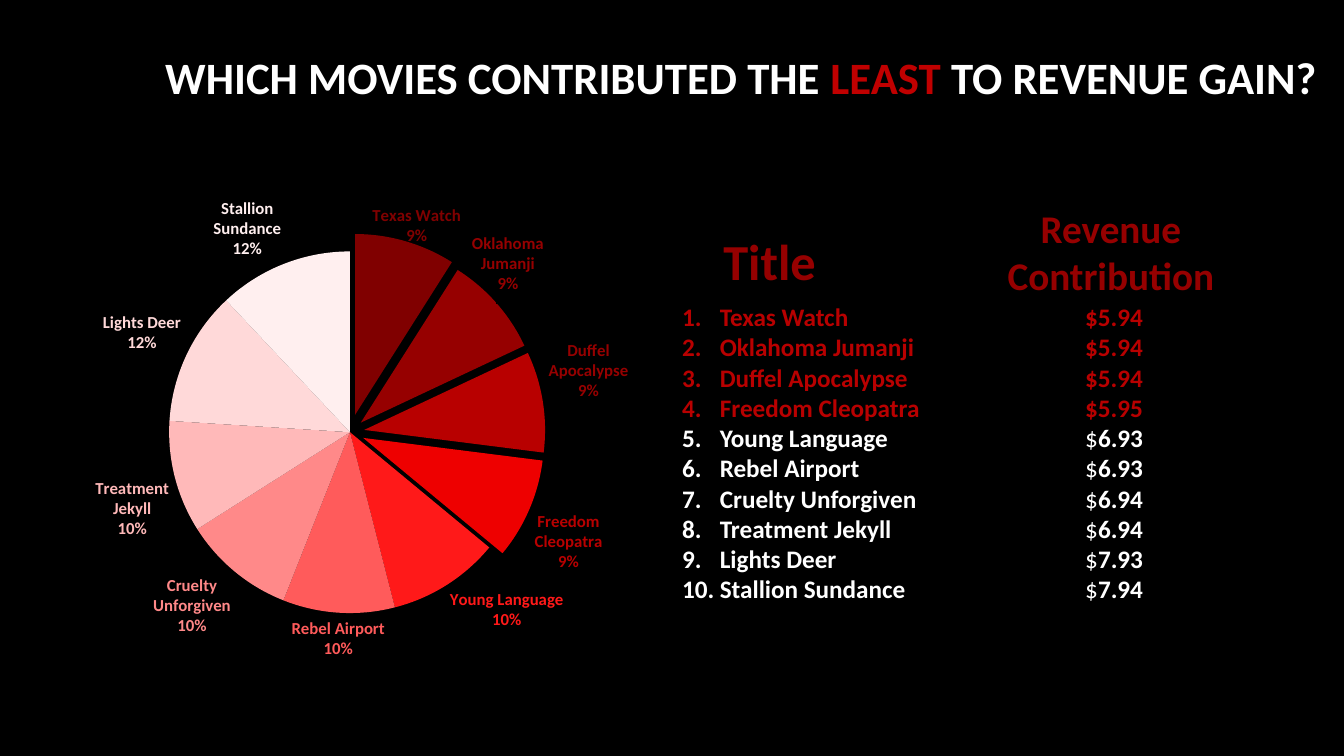
from lxml import etree
from pptx import Presentation
from pptx.chart.data import CategoryChartData
from pptx.dml.color import RGBColor
from pptx.enum.chart import XL_CHART_TYPE, XL_LABEL_POSITION
from pptx.enum.text import MSO_ANCHOR, MSO_AUTO_SIZE, PP_ALIGN
from pptx.oxml import parse_xml
from pptx.oxml.ns import nsdecls, qn
from pptx.util import Cm, Pt

PIE = XL_CHART_TYPE.PIE
OUTSIDE_END = XL_LABEL_POSITION.OUTSIDE_END
MIDDLE = MSO_ANCHOR.MIDDLE
NO_AUTOFIT = MSO_AUTO_SIZE.NONE
LEFT, CENTER = PP_ALIGN.LEFT, PP_ALIGN.CENTER

MOVIES = [
    ("Texas Watch", "5.94", 9, "800000", "800000", 10),
    ("Oklahoma Jumanji", "5.94", 9, "960000", "960000", 8),
    ("Duffel Apocalypse", "5.94", 9, "B80000", "960000", 8),
    ("Freedom Cleopatra", "5.95", 9, "EE0000", "B80000", 8),
    ("Young Language", "6.93", 10, "FF1919", "FF1919", 0),
    ("Rebel Airport", "6.93", 10, "FF5B5B", "FF5B5B", 0),
    ("Cruelty Unforgiven", "6.94", 10, "FF8989", "FF8989", 0),
    ("Treatment Jekyll", "6.94", 10, "FFB9B9", "FFB9B9", 0),
    ("Lights Deer", "7.93", 12, "FFD9D9", "FFD9D9", 0),
    ("Stallion Sundance", "7.94", 12, "FFEFEF", "FFEFEF", 0),
]
LABEL_OFFSETS = {0: (-0.06, 0.02), 1: (-0.05, -0.01)}
LEAST_COUNT = 4


def color(hex_value):
    return RGBColor.from_string(hex_value)


def add_text(paragraph, text, size=18, fill="FFFFFF", bold=True):
    run = paragraph.add_run()
    run.text = text
    run.font.name = "Calibri"
    run.font.size = Pt(size)
    run.font.bold = bold
    run.font.color.rgb = color(fill)


presentation = Presentation()
presentation.slide_width = Cm(33.87)
presentation.slide_height = Cm(19.05)
slide = presentation.slides.add_slide(presentation.slide_layouts[5])
slide.background.fill.solid()
slide.background.fill.fore_color.rgb = color("000000")

title = slide.shapes.title
title.left, title.top, title.width, title.height = Cm(3.91), Cm(0.13), Cm(29.95), Cm(3.78)
title.text_frame.auto_size = NO_AUTOFIT
title.text_frame.vertical_anchor = MIDDLE
paragraph = title.text_frame.paragraphs[0]
paragraph.alignment = LEFT
paragraph.line_spacing = 0.9
add_text(paragraph, "WHICH MOVIES CONTRIBUTED THE ", size=32)
add_text(paragraph, "LEAST", size=32, fill="C00000")
add_text(paragraph, " TO REVENUE GAIN?", size=32)

chart_data = CategoryChartData()
chart_data.categories = [movie[0] for movie in MOVIES]
chart_data.add_series("Series 1", [movie[2] for movie in MOVIES])
chart = slide.shapes.add_chart(PIE, Cm(1.75), Cm(4.09), Cm(14.58), Cm(13.21), chart_data).chart
chart.has_legend = False
chart.has_title = False
chart.font.name = "Calibri"
chart.font.size = Pt(10)
chart.font.color.rgb = color("FFFFFF")
plot = chart.plots[0]
plot.vary_by_categories = True

plot_area = plot._element.getparent()
for old_layout in plot_area.findall(qn("c:layout")):
    plot_area.remove(old_layout)
plot_area.insert(0, parse_xml(
    f'<c:layout {nsdecls("c")}><c:manualLayout><c:layoutTarget val="inner"/>'
    '<c:xMode val="edge"/><c:yMode val="edge"/><c:x val="0.17"/><c:y val="0.17"/>'
    '<c:w val="0.63"/><c:h val="0.69"/></c:manualLayout></c:layout>'))

series = plot.series[0]
labels = series.data_labels
labels.show_value = False
labels.show_category_name = True
labels.show_percentage = True
labels.position = OUTSIDE_END
labels.font.size = Pt(12)
labels.font.bold = True

for index, (name, revenue, share, slice_fill, label_fill, explosion) in enumerate(MOVIES):
    point = series.points[index]
    point.format.fill.solid()
    point.format.fill.fore_color.rgb = color(slice_fill)
    point.format.line.fill.background()
    label = point.data_label
    label.font.name = "Calibri"
    label.font.size = Pt(12)
    label.font.bold = True
    label.font.color.rgb = color(label_fill)
    label.position = OUTSIDE_END
    if explosion:
        slice_element = series._element.findall(qn("c:dPt"))[index]
        offset = etree.Element(qn("c:explosion"), val=str(explosion))
        slice_element.find(qn("c:spPr")).addprevious(offset)

for index, label_element in enumerate(series._element.iter(qn("c:dLbl"))):
    for tag, shown in (("c:showVal", "0"), ("c:showCatName", "1"), ("c:showPercent", "1")):
        label_element.find(qn(tag)).set("val", shown)
    separator = etree.Element(qn("c:separator"))
    separator.text = "\n"
    label_element.find(qn("c:showBubbleSize")).addnext(separator)
    if index in LABEL_OFFSETS:
        across, down = LABEL_OFFSETS[index]
        label_element.find(qn("c:idx")).addnext(parse_xml(
            f'<c:layout {nsdecls("c")}><c:manualLayout><c:x val="{across}"/>'
            f'<c:y val="{down}"/></c:manualLayout></c:layout>'))

text_boxes = []
for left, top, width, height in (
    (17.98, 4.9, 3.78, 2.57),
    (16.94, 7.47, 15.06, 7.95),
    (23.88, 5.03, 8.23, 2.64),
):
    box = slide.shapes.add_textbox(Cm(left), Cm(top), Cm(width), Cm(height))
    box.text_frame.word_wrap = True
    text_boxes.append(box.text_frame)
title_heading, movie_list, revenue_heading = text_boxes

title_heading.paragraphs[0].line_spacing = 1.5
add_text(title_heading.paragraphs[0], "Title", size=36, fill="960000")
revenue_heading.paragraphs[0].alignment = CENTER
add_text(revenue_heading.paragraphs[0], "Revenue Contribution", size=28, fill="960000")

for index, movie in enumerate(MOVIES):
    paragraph = movie_list.paragraphs[0] if index == 0 else movie_list.add_paragraph()
    is_least = index < LEAST_COUNT
    fill = "B80000" if is_least else "FFFFFF"
    add_text(paragraph, movie[0], fill=fill)
    add_text(paragraph, "\t$", fill=fill, bold=is_least)
    add_text(paragraph, movie[1], fill=fill)
    properties = paragraph._p.get_or_add_pPr()
    properties.set("marL", str(Cm(0.95)))
    properties.set("indent", str(Cm(-0.95)))
    etree.SubElement(properties, qn("a:buFont"), typeface="+mj-lt")
    etree.SubElement(properties, qn("a:buAutoNum"), type="arabicPeriod")
    tab_stops = etree.SubElement(properties, qn("a:tabLst"))
    etree.SubElement(tab_stops, qn("a:tab"), pos=str(Cm(10.16)), algn="l")

presentation.save("out.pptx")
